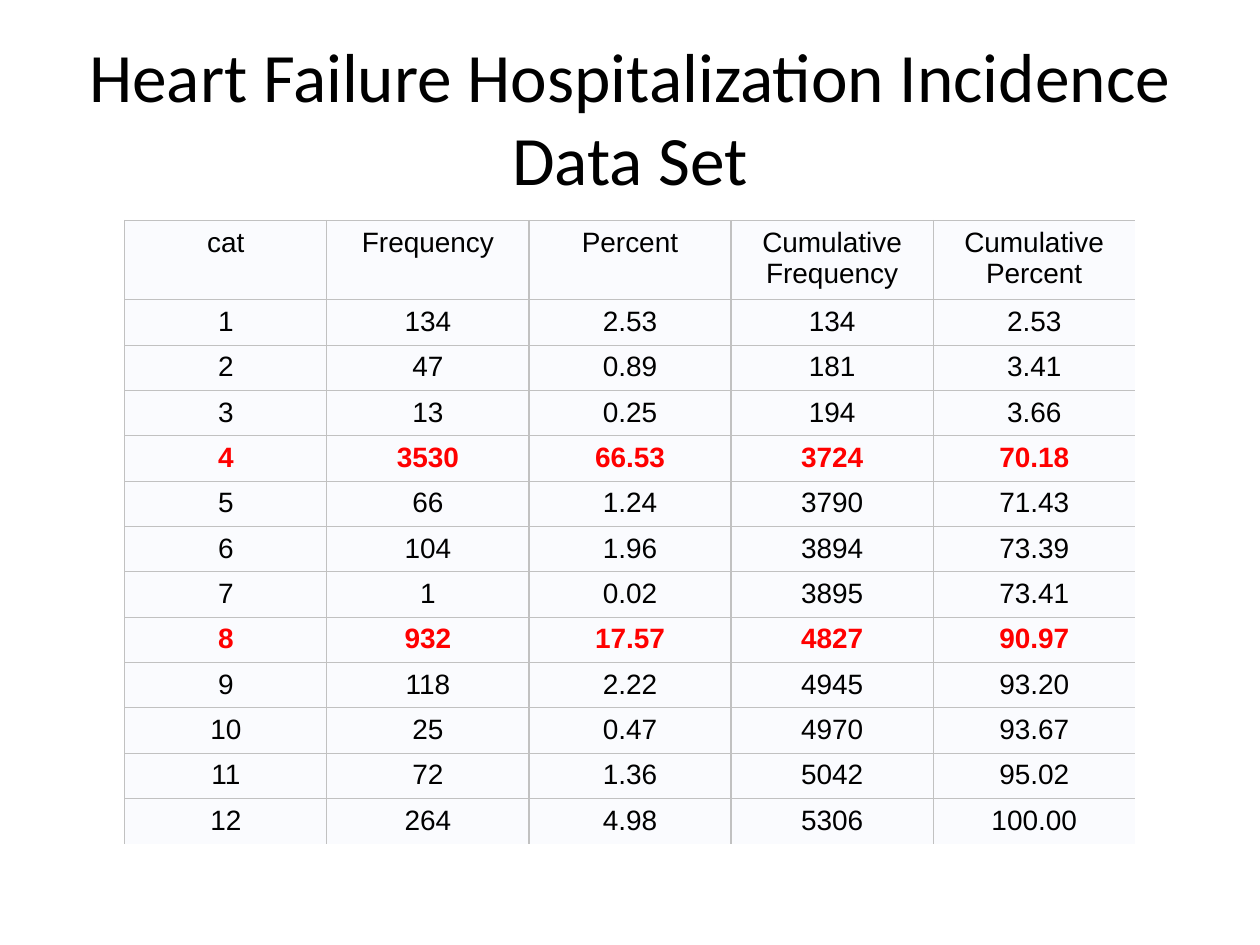
from lxml.etree import SubElement
from pptx import Presentation
from pptx.dml.color import RGBColor
from pptx.enum.text import MSO_ANCHOR, MSO_AUTO_SIZE, PP_ALIGN
from pptx.oxml.ns import qn
from pptx.util import Emu, Pt

PX = 9144  # 100 px to the inch
BLACK = RGBColor(0x00, 0x00, 0x00)
RED = RGBColor(0xFF, 0x00, 0x00)
PALE = RGBColor(0xFA, 0xFB, 0xFE)
GREY = RGBColor(0xC1, 0xC1, 0xC1)

HEADER = ["cat", "Frequency", "Percent", "Cumulative\vFrequency", "Cumulative\vPercent"]
INCIDENCE = [
    ["1", "134", "2.53", "134", "2.53"],
    ["2", "47", "0.89", "181", "3.41"],
    ["3", "13", "0.25", "194", "3.66"],
    ["4", "3530", "66.53", "3724", "70.18"],
    ["5", "66", "1.24", "3790", "71.43"],
    ["6", "104", "1.96", "3894", "73.39"],
    ["7", "1", "0.02", "3895", "73.41"],
    ["8", "932", "17.57", "4827", "90.97"],
    ["9", "118", "2.22", "4945", "93.20"],
    ["10", "25", "0.47", "4970", "93.67"],
    ["11", "72", "1.36", "5042", "95.02"],
    ["12", "264", "4.98", "5306", "100.00"],
]
HIGHLIGHTED = {"4", "8"}
HEADER_HEIGHT, ROW_HEIGHT = 63, 36


def px(length):
    return Emu(length * PX)


def add_border(cell, side, visible):
    line = SubElement(cell._tc.get_or_add_tcPr(), qn(f"a:ln{side}"), w=str(Pt(0.75)))
    if visible:
        SubElement(SubElement(line, qn("a:solidFill")), qn("a:srgbClr"), val=str(GREY))
    else:
        SubElement(line, qn("a:noFill"))


presentation = Presentation()
presentation.slide_width, presentation.slide_height = px(1000), px(750)
slide = presentation.slides.add_slide(presentation.slide_layouts[5])

# Title
title = slide.shapes.title
title.left, title.top, title.width, title.height = px(50), px(30), px(900), px(125)
title.text_frame.text = "Heart Failure Hospitalization Incidence Data Set"
title.text_frame.auto_size = MSO_AUTO_SIZE.NONE
title.text_frame.vertical_anchor = MSO_ANCHOR.MIDDLE
heading = title.text_frame.paragraphs[0]
heading.alignment = PP_ALIGN.CENTER
heading.font.name, heading.font.size = "Calibri", Pt(39.6)
heading.font.color.rgb = BLACK

# Frequency table
rows = [HEADER] + INCIDENCE
table_height = HEADER_HEIGHT + ROW_HEIGHT * len(INCIDENCE)
frequencies = slide.shapes.add_table(
    len(rows), len(HEADER), px(99), px(175), px(802), px(table_height)).table
frequencies.first_row = frequencies.horz_banding = False

for r, values in enumerate(rows):
    frequencies.rows[r].height = px(ROW_HEIGHT if r else HEADER_HEIGHT)
    highlighted = values[0] in HIGHLIGHTED
    for c, value in enumerate(values):
        cell = frequencies.cell(r, c)
        cell.margin_left = cell.margin_right = px(5)
        cell.margin_top = cell.margin_bottom = px(5)

        # Grid lines, open at the right and bottom edges
        add_border(cell, "L", True)
        add_border(cell, "R", c < len(HEADER) - 1)
        add_border(cell, "T", True)
        add_border(cell, "B", r < len(rows) - 1)
        cell.fill.solid()
        cell.fill.fore_color.rgb = PALE

        cell.text_frame.text = value
        entry = cell.text_frame.paragraphs[0]
        entry.alignment = PP_ALIGN.CENTER
        entry.font.name, entry.font.size = "Arial", Pt(16)
        entry.font.bold = highlighted
        entry.font.color.rgb = RED if highlighted else BLACK

presentation.save("out.pptx")
